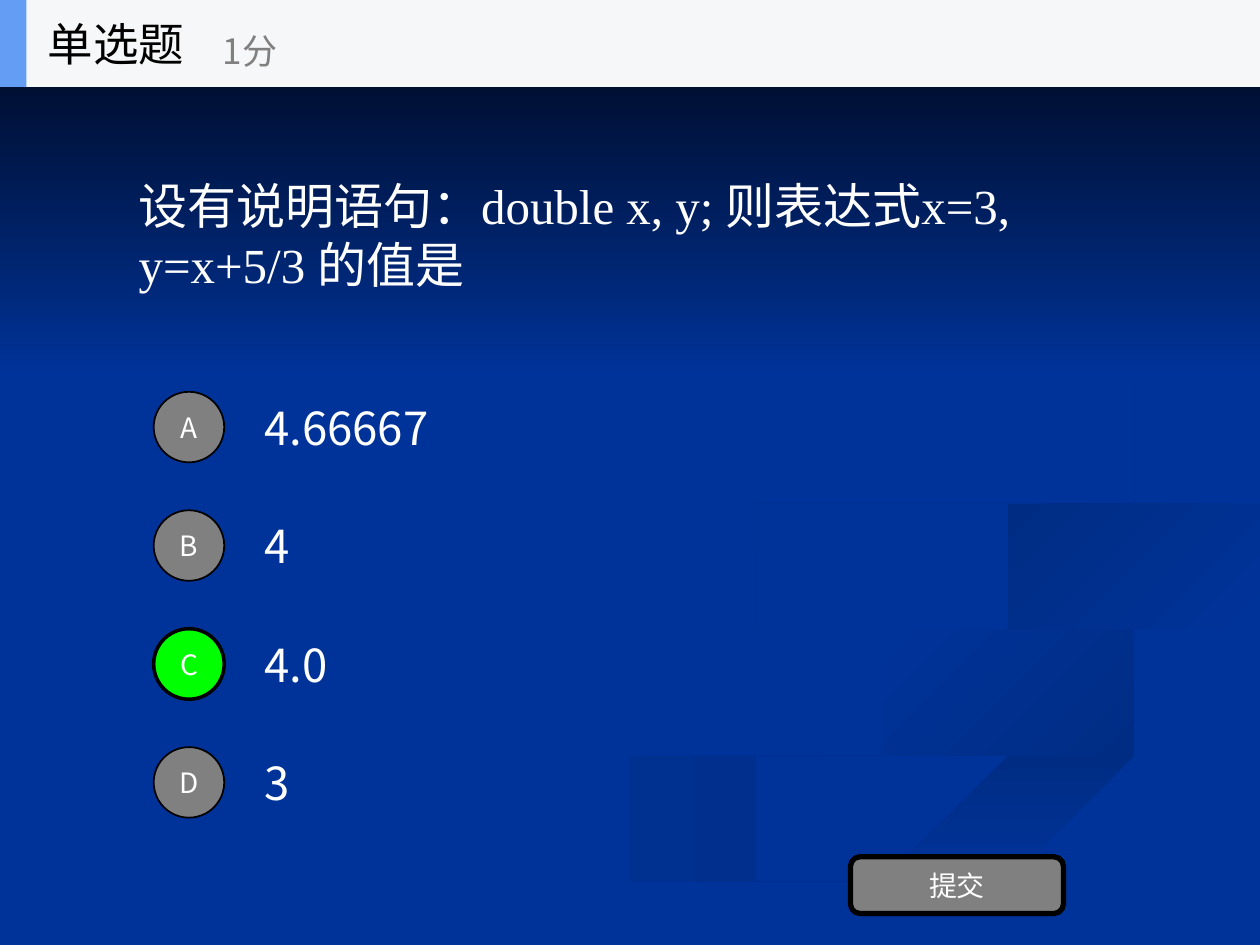
from dataclasses import dataclass

from pptx import Presentation, util as u
from pptx.dml.color import RGBColor
from pptx.enum import shapes as sh, text as tx
from pptx.oxml.ns import qn

BLUE = RGBColor.from_string("003399")
DEEP_BLUE = RGBColor.from_string("002C84")
NIGHT = RGBColor.from_string("000514")
WHITE = RGBColor.from_string("FFFFFF")
BLACK = RGBColor.from_string("000000")
GREY = RGBColor.from_string("808080")
GREEN = RGBColor.from_string("00FF00")
BAND = RGBColor.from_string("F6F7F8")
ACCENT = RGBColor.from_string("639EF4")
SANS, SERIF = "Noto Sans CJK SC", "Times New Roman"
CURVE_STEPS = 5

Point = tuple[float, float]


@dataclass
class Ribbon:
    """A swoosh between two smooth edges; the angle runs clockwise."""
    start: RGBColor
    end: RGBColor
    angle: int
    outward: list[Point]
    back: list[Point]


@dataclass
class Option:
    letter: str
    answer: str
    correct: bool = False


RIBBONS = [
    Ribbon(BLUE, DEEP_BLUE, 0,
           [(5.75, 4.6), (5.83, 4.86), (6.54, 5.13), (7.41, 5.39), (7.86, 5.66),
            (7.39, 5.98), (5.79, 6.39), (4.17, 6.9), (3, 7.49)],
           [(3.61, 7.49), (4.99, 6.87), (6.51, 6.4), (7.69, 6.09), (8, 5.81),
            (7.81, 5.53), (6.82, 5.19), (6.02, 4.9), (5.75, 4.6)]),
    Ribbon(BLUE, DEEP_BLUE, 45,
           [(7.24, 4.64), (7.55, 5.05), (8.38, 5.36), (9, 5.57), (9.18, 5.81), (8.94, 6.05)],
           [(9.32, 5.89), (9.43, 5.7), (9.05, 5.4), (7.92, 5.09), (7.24, 4.64)]),
    Ribbon(DEEP_BLUE, BLUE, 90,
           [(5.03, 7.49), (6.3, 6.93), (7.64, 6.47), (9.03, 6.1), (9.98, 5.81)],
           [(9.98, 6.09), (8.21, 6.51), (6.7, 7.02), (5.71, 7.49)]),
    Ribbon(DEEP_BLUE, BLUE, 45,
           [(9.98, 4.02), (8.65, 4.24), (7.99, 4.42), (7.86, 4.74), (8.26, 4.96)],
           [(8.05, 4.74), (8.43, 4.48), (9.36, 4.29), (9.98, 4.2)]),
    Ribbon(DEEP_BLUE, BLUE, 45,
           [(7.62, 2.33), (8.46, 2.79), (8.89, 3.35), (8.42, 3.78), (7.04, 4.09),
            (6.05, 4.33), (5.77, 4.62), (6.22, 5)],
           [(5.93, 4.7), (6.24, 4.44), (7.39, 4.21), (8.55, 3.91), (8.94, 3.44),
            (8.54, 2.83), (7.62, 2.33)]),
    Ribbon(NIGHT, BLUE, 90, [(0, 0), (10, 0)], [(10, 3.08), (0, 3.08)]),
]

OPTIONS = [Option("A", "4.66667"), Option("B", "4"), Option("C", "4.0", True), Option("D", "3")]
OPTION_TOP, OPTION_PITCH = 3.11, 0.94


def smooth(edge: list[Point]) -> list[Point]:
    """Run a Catmull-Rom curve through the points of an edge."""
    padded = [edge[0], *edge, edge[-1]]
    curve = []
    for a, b, c, d in zip(padded, padded[1:], padded[2:], padded[3:]):
        for step in range(CURVE_STEPS):
            t = step / CURVE_STEPS
            curve.append(tuple(
                q + t / 2 * (r - p + t * (2 * p - 5 * q + 4 * r - s + t * (3 * (q - r) + s - p)))
                for p, q, r, s in zip(a, b, c, d)))
    return curve + [edge[-1]]


def add_ribbon(shapes, ribbon: Ribbon):
    points = smooth(ribbon.outward) + smooth(ribbon.back)
    outline = shapes.build_freeform(*points[0], scale=u.Inches(1))
    outline.add_line_segments(points[1:], close=True)
    shape = outline.convert_to_shape()
    shape.shadow.inherit = False
    shape.line.fill.background()
    shape.fill.gradient()
    shape.fill.gradient_angle = (360 - ribbon.angle) % 360
    for stop, color in zip(shape.fill.gradient_stops, (ribbon.start, ribbon.end)):
        stop.color.rgb = color
    return shape


def write(shape, words: str, size: int, color: RGBColor, font: str = SANS,
          align=tx.PP_ALIGN.LEFT) -> None:
    frame = shape.text_frame
    frame.word_wrap = True
    frame.auto_size = tx.MSO_AUTO_SIZE.NONE
    frame.vertical_anchor = tx.MSO_ANCHOR.MIDDLE
    paragraph = frame.paragraphs[0]
    paragraph.alignment = align
    run = paragraph.add_run()
    run.text = words
    run.font.size = u.Pt(size)
    run.font.color.rgb = color
    run.font.name = font
    latin = run._r.rPr.find(qn("a:latin"))
    latin.addnext(latin.makeelement(qn("a:ea"), {"typeface": SANS}))


def add_label(shapes, box: tuple, words: str, size: int, color: RGBColor) -> None:
    write(shapes.add_textbox(*map(u.Inches, box)), words, size, color)


def add_block(shapes, kind, box: tuple, fill: RGBColor, line: float = 0):
    block = shapes.add_shape(kind, *map(u.Inches, box))
    block.shadow.inherit = False
    block.fill.solid()
    block.fill.fore_color.rgb = fill
    if line:
        block.line.color.rgb = BLACK
        block.line.width = u.Pt(line)
    else:
        block.line.fill.background()
    return block


def main() -> None:
    prs = Presentation()
    prs.slide_width, prs.slide_height = u.Inches(10), u.Inches(7.5)
    slide = prs.slides.add_slide(prs.slide_layouts[5])

    # Backdrop, kept on the master behind its placeholders
    master = prs.slide_master
    master.background.fill.solid()
    master.background.fill.fore_color.rgb = BLUE
    for position, ribbon in enumerate(RIBBONS, start=2):
        master.shapes._spTree.insert(position, add_ribbon(slide.shapes, ribbon)._element)

    # Question
    question = slide.shapes.title
    question.left, question.top = u.Inches(1), u.Inches(0.69)
    question.width, question.height = u.Inches(8), u.Inches(2.34)
    write(question, "设有说明语句：double x, y; 则表达式x=3, y=x+5/3 的值是", 28, WHITE, SERIF)

    # Answer options
    for row, option in enumerate(OPTIONS):
        top = OPTION_TOP + row * OPTION_PITCH
        add_label(slide.shapes, (2, top - 0.07, 7, 0.7), option.answer, 26, WHITE)
        badge = add_block(slide.shapes, sh.MSO_SHAPE.OVAL, (1.22, top, 0.56, 0.56),
                          GREEN if option.correct else GREY, 2 if option.correct else 1)
        write(badge, option.letter, 16, WHITE, align=tx.PP_ALIGN.CENTER)

    # Submit button
    submit = add_block(slide.shapes, sh.MSO_SHAPE.ROUNDED_RECTANGLE,
                       (6.75, 6.8, 1.69, 0.45), GREY, 3)
    write(submit, "提交", 16, WHITE, align=tx.PP_ALIGN.CENTER)

    # Header band
    header = slide.shapes.add_group_shape().shapes
    add_block(header, sh.MSO_SHAPE.RECTANGLE, (0, 0, 10, 0.69), BAND)
    add_block(header, sh.MSO_SHAPE.RECTANGLE, (0, 0, 0.21, 0.69), ACCENT)
    add_label(header, (0.28, 0, 2.08, 0.69), "单选题", 26, BLACK)
    add_label(header, (1.67, 0.12, 2.5, 0.56), "1分", 20, GREY)

    prs.save("out.pptx")


if __name__ == "__main__":
    main()
